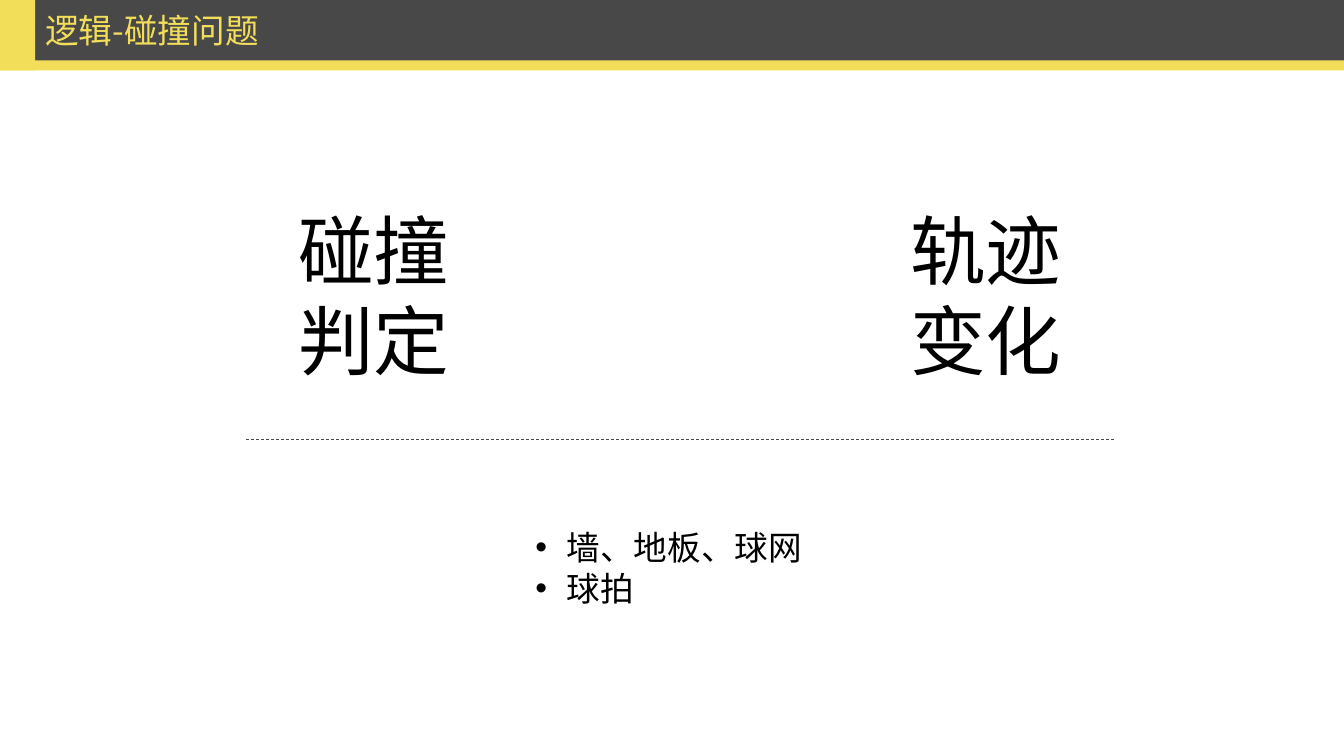
"""Build the slide on collision logic."""
from pptx import Presentation
from pptx.dml.color import RGBColor
from pptx.enum.dml import MSO_LINE as Dash
from pptx.enum.shapes import MSO_CONNECTOR as Conn, MSO_SHAPE as Kind
from pptx.enum.text import MSO_ANCHOR as Anchor, MSO_AUTO_SIZE as Auto, PP_ALIGN as Align
from pptx.oxml.ns import qn
from pptx.util import Inches, Pt
from lxml.etree import SubElement as Sub

FACE = "Noto Sans CJK SC"
GOLD, GREY, BLACK = "F3DE5A", "484848", "000000"
WIDE, BAR, BAND, TAB = 13.33, 0.7, 0.6, 0.35
LEFT, RIGHT, RULE = 2.44, 11.07, 4.36


def tint(hue):
    return RGBColor.from_string(hue)


def write(box, spot, lines, size, hue):
    for name, val in zip(("left", "top", "width", "height"), spot):
        setattr(box, name, Inches(val))
    frame = box.text_frame
    form = {"word_wrap": True, "auto_size": Auto.SHAPE_TO_FIT_TEXT,
            "vertical_anchor": Anchor.TOP}
    for name, val in form.items():
        setattr(frame, name, val)
    frame.text = "\n".join(lines)
    for para in frame.paragraphs:
        para.alignment, para.space_before = Align.LEFT, Pt(0)
        run = para.runs[0]
        run.font.size, run.font.name = Pt(size), FACE
        run.font.color.rgb = tint(hue)
        Sub(run.font._element, qn("a:ea"), typeface=FACE)


prs = Presentation()
prs.slide_width, prs.slide_height = Inches(WIDE), Inches(7.5)
slide = prs.slides.add_slide(prs.slide_layouts[1])
shapes = slide.shapes
title, body = slide.placeholders

for wide, high, hue in ((WIDE, BAR, GOLD), (WIDE, BAND, GREY), (TAB, BAR, GOLD)):
    bar = shapes.add_shape(Kind.RECTANGLE, 0, 0, Inches(wide), Inches(high))
    bar.shadow.inherit = False
    bar.fill.solid()
    bar.fill.fore_color.rgb = tint(hue)
    bar.line.fill.background()

shapes._spTree.append(title._element)
write(title, (TAB, 0.05, 3.09, 0.5), ["逻辑-碰撞问题"], 24, GOLD)

for left, wide, text in ((2.86, 2.2, "碰撞判定"), (8.93, 2.14, "轨迹变化")):
    box = shapes.add_textbox(0, 0, 0, 0)
    write(box, (left, 1.97, wide, 1.92), [text], 54, BLACK)

rule = shapes.add_connector(Conn.STRAIGHT, *map(Inches, (LEFT, RULE, RIGHT, RULE)))
rule.line.color.rgb = tint(GREY)
rule.line.width, rule.line.dash_style = Pt(0.5), Dash.DASH
Sub(rule._element.spPr, qn("a:effectLst"))

write(body, (5.21, 5.18, 3.34, 0.91), ["墙、地板、球网", "球拍"], 24, BLACK)
for para in body.text_frame.paragraphs:
    props = para._p.get_or_add_pPr()
    for name, val in {"marL": 0.31, "indent": -0.31}.items():
        props.set(name, str(Inches(val)))
    Sub(props, qn("a:buFont"), typeface="Arial")
    Sub(props, qn("a:buChar"), char="•")

prs.save("out.pptx")
